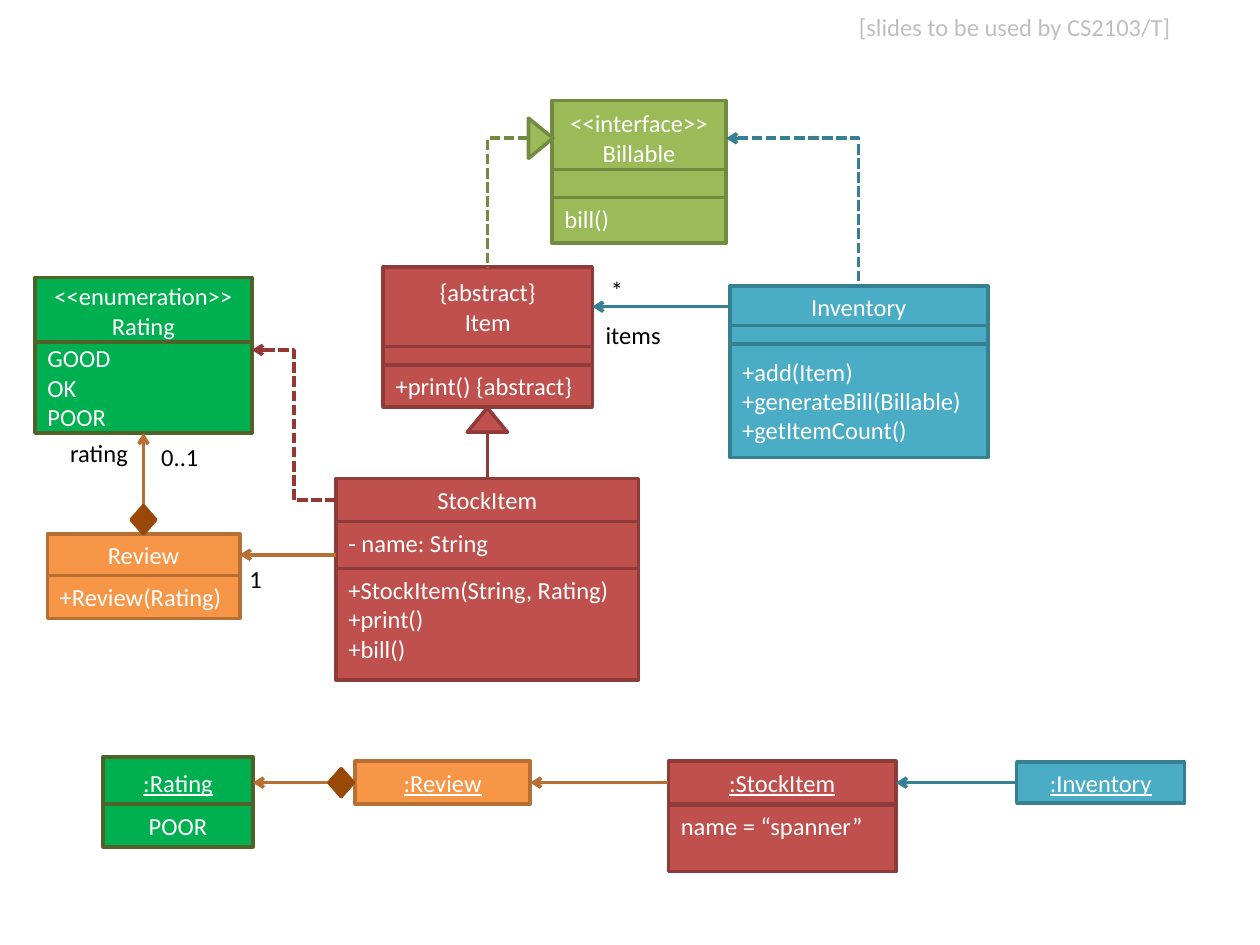
from lxml import etree
from pptx import Presentation
from pptx.dml.color import RGBColor
from pptx.enum.dml import MSO_LINE
from pptx.enum.shapes import MSO_CONNECTOR, MSO_SHAPE
from pptx.enum.text import MSO_ANCHOR, PP_ALIGN
from pptx.oxml.ns import qn
from pptx.util import Pt

RECTANGLE, TRIANGLE, DIAMOND = MSO_SHAPE.RECTANGLE, MSO_SHAPE.ISOSCELES_TRIANGLE, MSO_SHAPE.DIAMOND
STRAIGHT, ELBOW = MSO_CONNECTOR.STRAIGHT, MSO_CONNECTOR.ELBOW
LEFT, CENTER, RIGHT = PP_ALIGN.LEFT, PP_ALIGN.CENTER, PP_ALIGN.RIGHT
TOP, MIDDLE = MSO_ANCHOR.TOP, MSO_ANCHOR.MIDDLE
DASH = MSO_LINE.SQUARE_DOT
TOP_SIDE, LEFT_SIDE, BOTTOM_SIDE, RIGHT_SIDE = range(4)

WHITE = RGBColor(0xFF, 0xFF, 0xFF)
BLACK = RGBColor(0x00, 0x00, 0x00)
GRAY = RGBColor(0xBF, 0xBF, 0xBF)
LIME, LIME_LINE = RGBColor(0x9B, 0xBB, 0x59), RGBColor(0x73, 0x8A, 0x42)
GREEN, GREEN_LINE = RGBColor(0x00, 0xB0, 0x50), RGBColor(0x4F, 0x62, 0x28)
RED, RED_LINE = RGBColor(0xC0, 0x50, 0x4D), RGBColor(0x8E, 0x3B, 0x39)
BLUE, BLUE_LINE = RGBColor(0x4B, 0xAC, 0xC6), RGBColor(0x37, 0x7F, 0x92)
ORANGE, ORANGE_LINE = RGBColor(0xF7, 0x96, 0x46), RGBColor(0xB7, 0x6F, 0x34)
BROWN = RGBColor(0x98, 0x48, 0x07)
DARK_RED = RGBColor(0x95, 0x37, 0x35)


def write(shape, text, color, align):
    shape.text_frame.text = text
    for para in shape.text_frame.paragraphs:
        para.alignment = align
        para.font.name = "Calibri"
        para.font.size = Pt(14)
        para.font.color.rgb = color
        if text.startswith(":"):
            para.font.underline = True


def style(shape, line_color, fill=None, arrow=None):
    """Colour an outline; fill a shape, or put an arrow on a connector."""
    shape.line.color.rgb = line_color
    shape.line.width = Pt(2)
    if fill is not None:
        shape.shadow.inherit = False
        shape.fill.solid()
        shape.fill.fore_color.rgb = fill
        return
    if arrow:
        etree.SubElement(shape.line._get_or_add_ln(), qn(f"a:{arrow}"), type="arrow")
    etree.SubElement(shape.element.spPr, qn("a:effectLst"))


deck = Presentation()
deck.slide_width, deck.slide_height = Pt(720), Pt(540)
shapes = deck.slides.add_slide(deck.slide_layouts[6]).shapes

# Classes and objects: left, width, colours, compartments (top, height, text, align, anchor)
classes = {
    "Billable": (315.5, 99.5, LIME, LIME_LINE, [
        (57.5, 42.5, "<<interface>>\vBillable", CENTER, MIDDLE),
        (111.5, 27.5, "bill()", LEFT, MIDDLE),
        (97, 16, "", LEFT, MIDDLE)]),
    "Inventory": (417, 147.5, BLUE, BLUE_LINE, [
        (163.5, 23.5, "Inventory", CENTER, MIDDLE),
        (186, 11, "", LEFT, MIDDLE),
        (196.5, 65, "+add(Item)\n+generateBill(Billable)\n+getItemCount()", LEFT, MIDDLE)]),
    "Item": (219, 119.5, RED, RED_LINE, [
        (152.5, 45.5, "{abstract}\nItem", CENTER, MIDDLE),
        (198, 24, "", LEFT, MIDDLE),
        (208.5, 24, "+print() {abstract}", LEFT, MIDDLE)]),
    "StockItem": (192, 173, RED, RED_LINE, [
        (273.5, 24.5, "StockItem", CENTER, MIDDLE),
        (298, 38, "- name: String", LEFT, TOP),
        (325, 63.5, "+StockItem(String, Rating)\n+print()\n+bill()", LEFT, TOP)]),
    "Review": (27, 110, ORANGE, ORANGE_LINE, [
        (305, 24, "Review", CENTER, MIDDLE),
        (329, 24.5, "+Review(Rating)", LEFT, MIDDLE)]),
    "Rating": (20, 124, GREEN, GREEN_LINE, [
        (158.5, 38, "<<enumeration>>\vRating", CENTER, MIDDLE),
        (195.5, 52, "GOOD\nOK\nPOOR", LEFT, MIDDLE)]),
    ":Inventory": (581, 96, BLUE, BLUE_LINE, [
        (435.5, 23.5, ":Inventory", CENTER, MIDDLE)]),
    ":StockItem": (382, 130, RED, RED_LINE, [
        (435, 24.5, ":StockItem", CENTER, MIDDLE),
        (460, 38, "name = “spanner”", LEFT, TOP)]),
    ":Review": (203, 100, ORANGE, ORANGE_LINE, [
        (435, 24.5, ":Review", CENTER, MIDDLE)]),
    ":Rating": (59, 85.5, GREEN, GREEN_LINE, [
        (432.5, 29.5, ":Rating", CENTER, MIDDLE),
        (459.5, 24.5, "POOR", CENTER, MIDDLE)]),
}
boxes = {}
for name, (left, width, fill, outline, compartments) in classes.items():
    boxes[name] = []
    for top, height, text, align, anchor in compartments:
        box = shapes.add_shape(RECTANGLE, Pt(left), Pt(top), Pt(width), Pt(height))
        style(box, outline, fill)
        box.text_frame.vertical_anchor = anchor
        if text:
            write(box, text, WHITE, align)
        boxes[name].append(box)

# Straight associations, joined to the boxes at both ends
associations = [
    (boxes["Inventory"][0], LEFT_SIDE, boxes["Item"][0], RIGHT_SIDE, BLUE_LINE),
    (boxes["StockItem"][1], LEFT_SIDE, boxes["Review"][0], RIGHT_SIDE, ORANGE_LINE),
    (boxes["Review"][0], TOP_SIDE, boxes["Rating"][1], BOTTOM_SIDE, ORANGE_LINE),
    (boxes[":Inventory"][0], LEFT_SIDE, boxes[":StockItem"][0], RIGHT_SIDE, BLUE_LINE),
    (boxes[":StockItem"][0], LEFT_SIDE, boxes[":Review"][0], RIGHT_SIDE, ORANGE_LINE),
    (boxes[":Review"][0], LEFT_SIDE, boxes[":Rating"][0], RIGHT_SIDE, ORANGE_LINE),
]
for source, source_side, target, target_side, color in associations:
    link = shapes.add_connector(STRAIGHT, 0, 0, 0, 0)
    link.begin_connect(source, source_side)
    link.end_connect(target, target_side)
    style(link, color, arrow="tailEnd")

# Inheritance line from StockItem up to the triangle below Item
inheritance = shapes.add_connector(STRAIGHT, Pt(278.5), Pt(273.5), Pt(278.5), Pt(246.5))
inheritance.begin_connect(boxes["StockItem"][0], TOP_SIDE)
style(inheritance, RED_LINE)

# Dashed elbows, each leaving its start horizontally
elbows = [
    ("bentConnector2", 302, 79, 278.75, 152.5, LIME_LINE, None),
    ("bentConnector2", 415, 79, 490.75, 163.5, BLUE_LINE, "headEnd"),
    ("bentConnector3", 192, 285.75, 144, 200, DARK_RED, "tailEnd"),
]
for geometry, start_x, start_y, end_x, end_y, color, arrow in elbows:
    elbow = shapes.add_connector(ELBOW, Pt(start_x), Pt(start_y), Pt(end_x), Pt(end_y))
    elbow.element.spPr.find(qn("a:prstGeom")).set("prst", geometry)
    elbow.line.dash_style = DASH
    style(elbow, color, arrow=arrow)

# Inheritance triangles and composition diamonds
markers = [
    (TRIANGLE, 297.5, 72, 23, 14, 90, LIME, LIME_LINE),
    (TRIANGLE, 267, 233, 23, 14, 0, RED, RED_LINE),
    (DIAMOND, 75, 289, 14, 16, 0, BROWN, BROWN),
    (DIAMOND, 188, 439.25, 14, 16, 0, BROWN, BROWN),
]
for kind, left, top, width, height, rotation, fill, outline in markers:
    marker = shapes.add_shape(kind, Pt(left), Pt(top), Pt(width), Pt(height))
    marker.rotation = rotation
    style(marker, outline, fill)

# Roles, multiplicities and the header note
labels = [
    ("[slides to be used by CS2103/T]", 295, 3.5, 381, GRAY, RIGHT),
    ("*", 342, 153.5, 22, BLACK, LEFT),
    ("items", 339, 179.5, 52, BLACK, LEFT),
    ("rating", 33, 247, 48, BLACK, LEFT),
    ("0..1", 85, 249, 38, BLACK, LEFT),
    ("1", 135.5, 318.5, 22, BLACK, LEFT),
]
for text, left, top, width, color, align in labels:
    label = shapes.add_textbox(Pt(left), Pt(top), Pt(width), Pt(24.5))
    label.text_frame.word_wrap = text != "rating"
    write(label, text, color, align)

deck.save("out.pptx")
